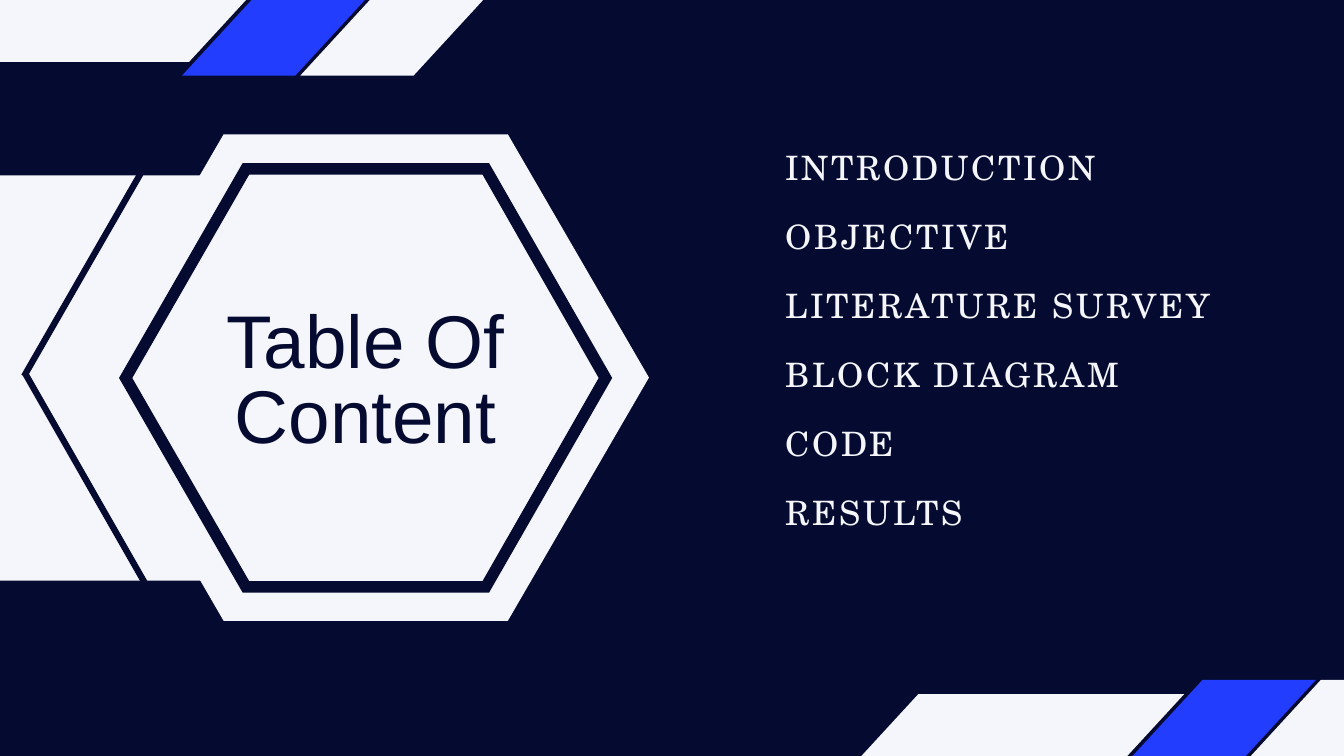
from lxml import etree
from pptx import Presentation
from pptx.dml.color import RGBColor
from pptx.enum import shapes, text
from pptx.oxml.ns import qn
from pptx.util import Cm, Pt

COLOURS = {"navy": "050A30", "white": "F4F6FC", "blue": "233DFF"}


def paint(part, colour):
    part.fill.solid()
    part.fill.fore_color.rgb = RGBColor.from_string(COLOURS[colour])
    part.line.fill.background()
    part.shadow.inherit = False


def write(words, left, top, width, height, font_name, size, spacing, colour):
    box = slide.shapes.add_textbox(Cm(left), Cm(top), Cm(width), Cm(height))
    frame = box.text_frame
    frame.margin_left = frame.margin_right = frame.margin_top = frame.margin_bottom = 0
    frame.word_wrap = True
    frame.auto_size = text.MSO_AUTO_SIZE.SHAPE_TO_FIT_TEXT
    paragraph = frame.paragraphs[0]
    paragraph.text = words
    paragraph.line_spacing = Pt(spacing)
    paragraph.font.name = font_name
    paragraph.font.size = Pt(size)
    paragraph.font.color.rgb = RGBColor.from_string(COLOURS[colour])
    return paragraph


deck = Presentation()
deck.slide_width, deck.slide_height = Cm(50.8), Cm(28.58)
slide = deck.slides.add_slide(deck.slide_layouts[6])
slide.background.fill.solid()
slide.background.fill.fore_color.rgb = RGBColor.from_string(COLOURS["navy"])

badge = slide.shapes.add_shape(
    shapes.MSO_SHAPE.HEXAGON, Cm(3.12), Cm(5.08), Cm(21.41), Cm(18.39))
badge.adjustments[0] = 0.29
paint(badge, "white")

band = slide.shapes.add_shape(
    shapes.MSO_SHAPE.RECTANGLE, Cm(-0.94), Cm(6.63), Cm(18.16), Cm(15.32))
paint(band, "white")

for left, top, width, height, colour in [
    (-2.9, 0, 12.2, 2.34, "white"),
    (32.56, 26.24, 12.2, 2.34, "white"),
    (6.88, -0.53, 7.4, 3.39, "blue"),
    (42.34, 25.7, 7.4, 3.39, "blue"),
    (11.35, -0.53, 7.4, 3.39, "white"),
    (46.81, 25.7, 7.4, 3.39, "white"),
]:
    stripe = slide.shapes.add_shape(
        shapes.MSO_SHAPE.PARALLELOGRAM, Cm(left), Cm(top), Cm(width), Cm(height))
    stripe.adjustments[0] = 0.92
    paint(stripe, colour)

outer = [(18.49, 6.17), (9.17, 6.17), (4.5, 14.29),
         (9.17, 22.4), (18.49, 22.4), (23.14, 14.29)]
inner = [(18.24, 21.97), (9.42, 21.97), (5, 14.29),
         (9.42, 6.6), (18.24, 6.6), (22.63, 14.29)]
outer, inner = [[(Cm(x), Cm(y)) for x, y in rim] for rim in (outer, inner)]
ring_path = slide.shapes.build_freeform(*outer[0])
ring_path.add_line_segments(outer[1:])
ring_path.move_to(*inner[0])
ring_path.add_line_segments(inner[1:])
paint(ring_path.convert_to_shape(), "navy")

for x1, y1, x2, y2 in [(5.51, 22.1, 0.94, 14.1), (0.91, 14.22, 5.51, 6.22)]:
    chevron = slide.shapes.add_connector(
        shapes.MSO_CONNECTOR.STRAIGHT, Cm(x1), Cm(y1), Cm(x2), Cm(y2))
    chevron.line.color.rgb = RGBColor.from_string(COLOURS["navy"])
    chevron.line.width = Pt(6.75)
    etree.SubElement(chevron._element.spPr, qn("a:effectLst"))

title = write("Table Of Content", 5.28, 11.68, 17.07, 5.79, "Arial", 80, 80, "navy")
title.alignment = text.PP_ALIGN.CENTER

topics = [("INTRODUCTION", 13.34), ("OBJECTIVE", 8.97), ("LITERATURE SURVEY", 18.24),
          ("BLOCK DIAGRAM", 14.55), ("CODE", 8.97), ("RESULTS", 8.97)]
for row, (topic, width) in enumerate(topics):
    entry = write(topic, 29.69, 5.3 + 2.61 * row, width, 1.75,
                  "TeX Gyre Schola", 36, 50.4, "white")
    entry.runs[0]._r.get_or_add_rPr().set("spc", "290")

deck.save("out.pptx")
